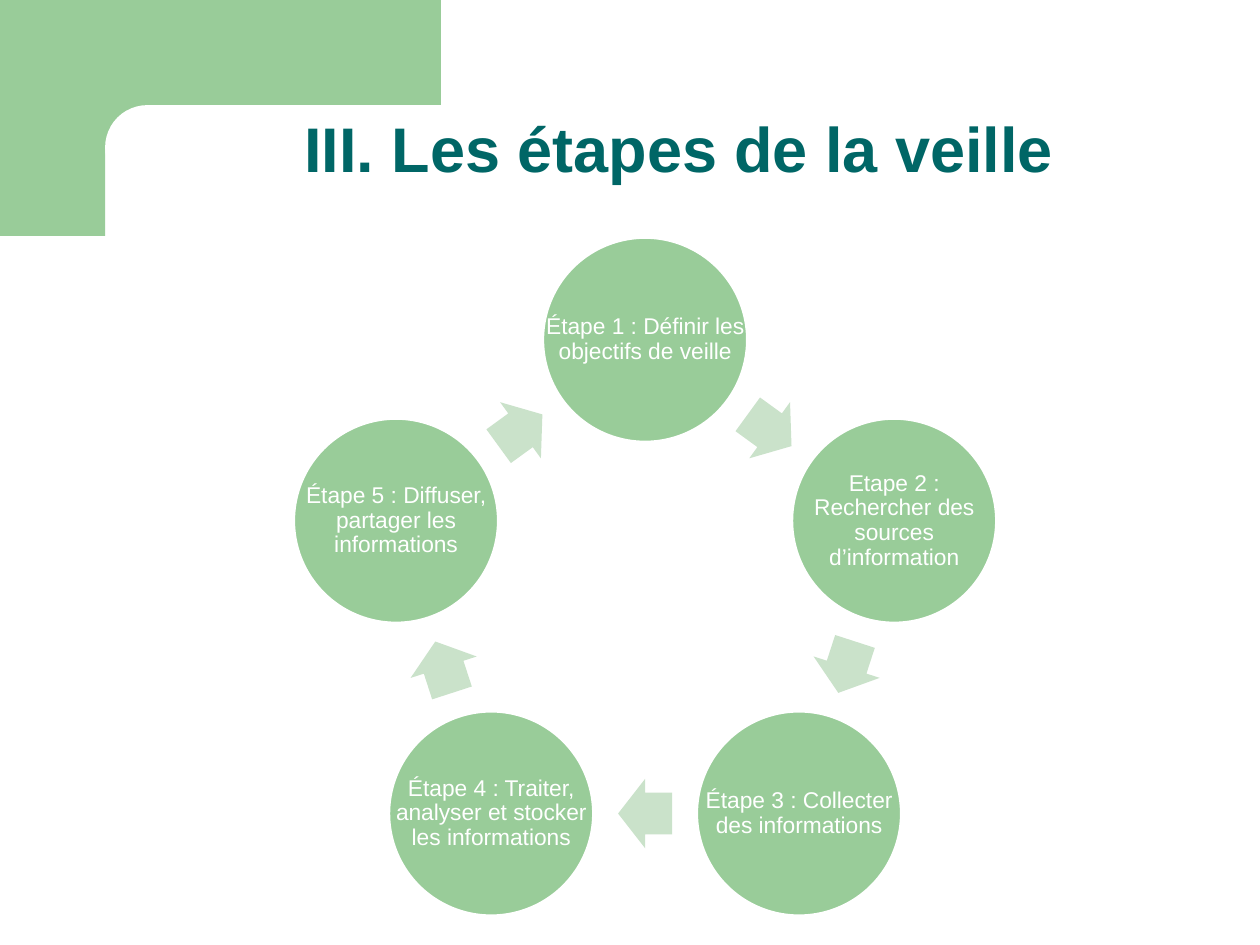
import math

from pptx import Presentation
from pptx import util as u
from pptx.dml.color import RGBColor
from pptx.enum import shapes, text

GREEN, PALE, WHITE, TEAL = "99CC99", "CAE2CA", "FFFFFF", "006666"
STEPS = [
    "Étape 1 : Définir les objectifs de veille",
    "Etape 2 : Rechercher des sources d’information",
    "Étape 3 : Collecter des informations",
    "Étape 4 : Traiter, analyser et stocker les informations",
    "Étape 5 : Diffuser, partager les informations",
]


def rgb(value):
    """Turn a hex string into a colour."""
    return RGBColor.from_string(value)


def set_all(obj, values):
    """Set attributes from a dict of format values."""
    for name, value in values.items():
        setattr(obj, name, value)


def add_shape(s, kind, box, fill, line=None):
    """Add a flat preset shape in a box given in centimetres."""
    sp = s.shapes.add_shape(kind, *map(u.Cm, box))
    sp.shadow.inherit = False
    sp.fill.solid()
    sp.fill.fore_color.rgb = rgb(fill)
    if line:
        sp.line.color.rgb = rgb(line)
        sp.line.width = u.Pt(2)
    else:
        sp.line.fill.background()
    return sp


def write(tf, words, color, frame, font):
    """Write one centred paragraph into a text frame."""
    set_all(tf, {"word_wrap": True, "auto_size": text.MSO_AUTO_SIZE.NONE, **frame})
    p = tf.paragraphs[0]
    set_all(p, {"alignment": text.PP_ALIGN.CENTER, "line_spacing": 0.9})
    r = p.add_run()
    r.text = words
    set_all(r.font, {"name": "Arial", **font})
    r.font.color.rgb = rgb(color)


def add_corner(s, box):
    """Draw the green corner band and the white panels that shape it."""
    x, y, w, h = box
    rect = shapes.MSO_SHAPE.RECTANGLE
    bar, top = 2.12, 4.76
    add_shape(s, rect, (x, y, bar, h), GREEN)
    add_shape(s, rect, (x + 1.9, y, 6.99, 2.96), GREEN)
    sp = add_shape(s, shapes.MSO_SHAPE.ROUNDED_RECTANGLE,
                   (x + bar, y + bar, 14.17, 1.7), WHITE)
    sp.adjustments[0] = 0.5
    add_shape(s, rect, (x, y + top, w, h - top), WHITE)


def add_title(s, box, words):
    """Place and format the title placeholder above the corner band."""
    sp = s.shapes.title
    set_all(sp, dict(zip(("left", "top", "width", "height"), map(u.Cm, box))))
    s.shapes._spTree.append(sp._element)
    write(sp.text_frame, words, TEAL,
          {"vertical_anchor": text.MSO_ANCHOR.BOTTOM},
          {"size": u.Pt(36), "bold": True})


def add_step(s, box, words):
    """Draw one step disc with its text across the full width."""
    add_shape(s, shapes.MSO_SHAPE.OVAL, box, GREEN, WHITE)
    tf = s.shapes.add_textbox(*map(u.Cm, box)).text_frame
    frame = {f"margin_{side}": u.Cm(0.05)
             for side in ("left", "top", "right", "bottom")}
    write(tf, words, WHITE,
          {**frame, "vertical_anchor": text.MSO_ANCHOR.MIDDLE},
          {"size": u.Pt(13)})


def add_cycle(s, box, steps):
    """Set the steps on a ring, with an arrow midway between neighbours."""
    x, y, w, h = box
    disc, arrow_w, arrow_h = 4.14, 1.09, 1.4
    angle = 360 / len(steps)
    half = math.radians(angle / 2)
    radius = (h - disc) / (1 + math.cos(half))
    cx, cy = x + w / 2, y + disc / 2 + radius

    def centred(turn, distance, width, height):
        a = math.radians(turn)
        return (cx + distance * math.sin(a) - width / 2,
                cy - distance * math.cos(a) - height / 2, width, height)

    for i, words in enumerate(steps):
        add_step(s, centred(i * angle, radius, disc, disc), words)
        turn = (i + 0.5) * angle
        sp = add_shape(s, shapes.MSO_SHAPE.RIGHT_ARROW,
                       centred(turn, radius * math.cos(half), arrow_w, arrow_h),
                       PALE)
        sp.adjustments[0], sp.adjustments[1] = 0.6, 0.5
        sp.rotation = turn


def main():
    """Build the slide and save it."""
    prs = Presentation()
    set_all(prs, {"slide_width": u.Cm(25.4), "slide_height": u.Cm(19.05)})
    s = prs.slides.add_slide(prs.slide_layouts[5])
    add_corner(s, (0, 0, 25.4, 19.05))
    add_title(s, (1.98, 0.71, 23.42, 3.18), "III. Les étapes de la veille")
    add_cycle(s, (5.92, 4.78, 14.17, 13.69), STEPS)
    prs.save("out.pptx")


if __name__ == "__main__":
    main()
